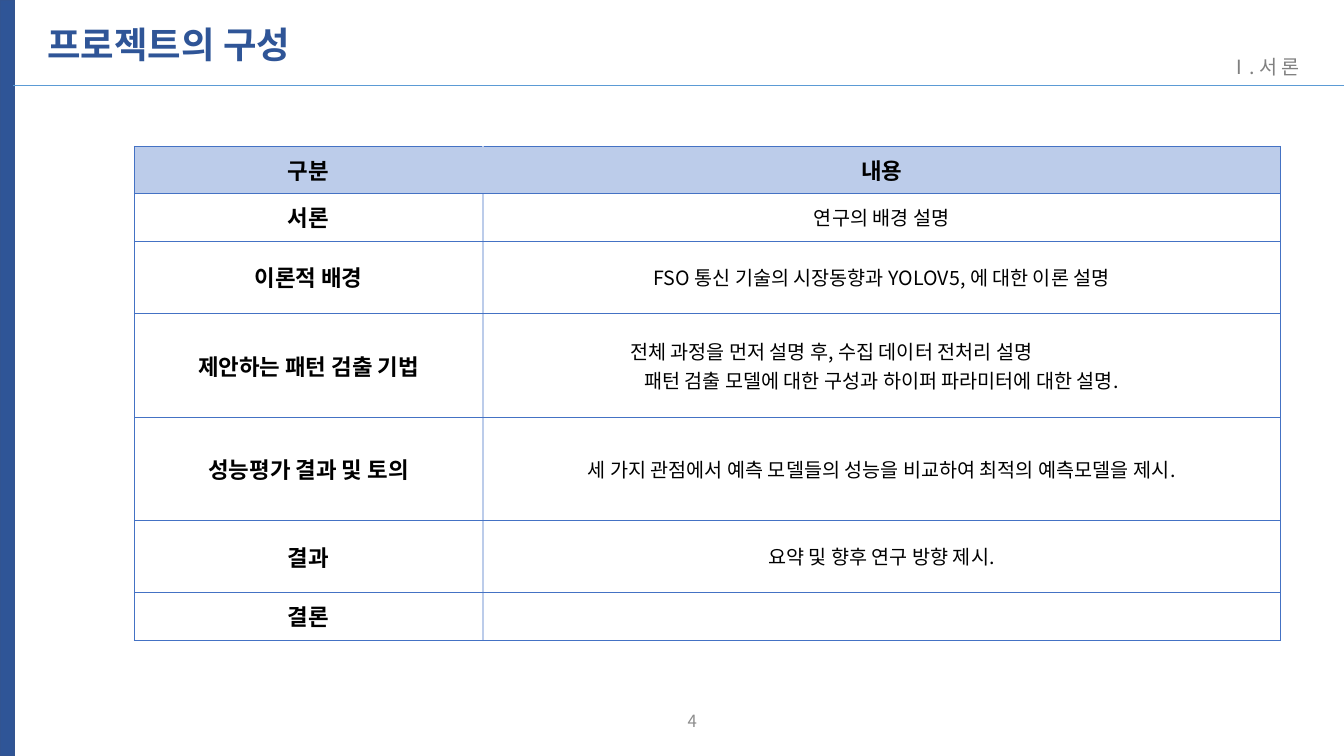
import pptx
import pptx.util
import pptx.dml.color
import pptx.enum.shapes
import pptx.enum.text
import pptx.oxml
import pptx.oxml.ns
from lxml import etree

Inches = pptx.util.Inches
Pt = pptx.util.Pt
RGBColor = pptx.dml.color.RGBColor
ALIGN = pptx.enum.text.PP_ALIGN
MIDDLE = pptx.enum.text.MSO_ANCHOR.MIDDLE
qn = pptx.oxml.ns.qn

FONT = "Noto Sans CJK KR"
NAVY = RGBColor(0x2F, 0x55, 0x97)
NAVY_EDGE = RGBColor(0x32, 0x54, 0x91)
SKY = RGBColor(0x5B, 0x9B, 0xD5)
GRAY = RGBColor(0x80, 0x80, 0x80)
NUMBER_GRAY = RGBColor(0x8C, 0x8C, 0x8C)
BLACK = RGBColor(0, 0, 0)
HEADER_FILL = RGBColor(0xBC, 0xCC, 0xEA)
GRID_BLUE = RGBColor(0x44, 0x72, 0xC4)


def write(frame, lines, size, bold, color, align):
    frame.word_wrap = True
    frame.vertical_anchor = MIDDLE
    for index, text in enumerate(lines):
        para = frame.add_paragraph() if index else frame.paragraphs[0]
        para.text = text
        para.alignment = align
        font = para.font
        font.size = Pt(size)
        font.bold = bold
        font.color.rgb = color
        font.name = FONT
        latin = para._p.pPr.find(qn("a:defRPr")).find(qn("a:latin"))
        latin.addnext(etree.Element(qn("a:ea"), typeface=FONT))


def set_border(cell, position, side, color, width):
    line = etree.Element(qn(f"a:{side}"), w=str(Pt(width)))
    fill = etree.SubElement(line, qn("a:solidFill"))
    etree.SubElement(fill, qn("a:srgbClr"), val=str(color))
    cell._tc.get_or_add_tcPr().insert(position, line)


deck = pptx.Presentation()
deck.slide_width = Inches(13.33)
deck.slide_height = Inches(7.5)
page = deck.slides.add_slide(deck.slide_layouts[5])

side_bar = page.shapes.add_shape(
    pptx.enum.shapes.MSO_SHAPE.RECTANGLE, 0, 0, Inches(0.14), Inches(7.5))
side_bar.shadow.inherit = False
side_bar.fill.solid()
side_bar.fill.fore_color.rgb = NAVY
side_bar.line.color.rgb = NAVY_EDGE
side_bar.line.width = Pt(1)

title_rule = page.shapes.add_connector(
    pptx.enum.shapes.MSO_CONNECTOR.STRAIGHT,
    Inches(0.13), Inches(0.85), Inches(13.33), Inches(0.85))
title_rule.line.color.rgb = SKY
title_rule.line.width = Pt(0.5)
etree.SubElement(title_rule._element.spPr, qn("a:effectLst"))

title = page.shapes.title
title.left, title.top = Inches(0.37), Inches(0.09)
title.width, title.height = Inches(5.63), Inches(0.75)
write(title.text_frame, ["프로젝트의 구성"], 26, True, NAVY, ALIGN.LEFT)
title.text_frame.paragraphs[0].line_spacing = 0.9

chapter = page.shapes.add_textbox(
    Inches(12.1), Inches(0.52), Inches(1.08), Inches(0.32))
write(chapter.text_frame, ["Ⅰ. 서 론"], 14, False, GRAY, ALIGN.LEFT)
chapter.text_frame.paragraphs[0].line_spacing = 0.9

page_number = page.shapes.add_textbox(
    Inches(4.01), Inches(6.95), Inches(3), Inches(0.4))
write(page_number.text_frame, ["4"], 12, False, NUMBER_GRAY, ALIGN.RIGHT)

rows = [
    (0.47, "구분", ["내용"]),
    (0.47, "서론", ["연구의 배경 설명"]),
    (0.72, "이론적 배경", ["FSO 통신 기술의 시장동향과 YOLOV5, 에 대한 이론 설명"]),
    (1.03, "제안하는 패턴 검출 기법",
     ["전체 과정을 먼저 설명 후, 수집 데이터 전처리 설명",
      "패턴 검출 모델에 대한 구성과 하이퍼 파라미터에 대한 설명."]),
    (1.02, "성능평가 결과 및 토의",
     ["세 가지 관점에서 예측 모델들의 성능을 비교하여 최적의 예측모델을 제시."]),
    (0.72, "결과", ["요약 및 향후 연구 방향 제시."]),
    (0.47, "결론", [""]),
]
table = page.shapes.add_table(
    len(rows), 2, Inches(1.33), Inches(1.45), Inches(11.37), Inches(4.9)).table
table.first_row = False
table.horz_banding = False
table.columns[0].width = Inches(3.46)
table.columns[1].width = Inches(7.91)

outer = (GRID_BLUE, 0.5)
divider = (HEADER_FILL, 1)
for row_index, (height, part, contents) in enumerate(rows):
    table.rows[row_index].height = Inches(height)
    is_header = row_index == 0
    for column_index, lines in enumerate([[part], contents]):
        cell = table.cell(row_index, column_index)
        is_heading = is_header or column_index == 0
        size = 16 if is_heading else 14
        write(cell.text_frame, lines, size, is_heading, BLACK, ALIGN.CENTER)
        cell.vertical_anchor = MIDDLE
        if is_header:
            cell.fill.solid()
            cell.fill.fore_color.rgb = HEADER_FILL
        else:
            cell.fill.background()
        left, right = (outer, divider) if column_index == 0 else (divider, outer)
        borders = [("lnL", left), ("lnR", right), ("lnT", outer), ("lnB", outer)]
        for position, (side, style) in enumerate(borders):
            set_border(cell, position, side, *style)

method_cell = table.cell(3, 1)
method_cell.margin_right = Inches(1.1)
method_detail = method_cell.text_frame.paragraphs[1]._p.get_or_add_pPr()
method_detail.set("marL", str(Inches(1)))
method_detail.set("indent", "0")

deck.save("out.pptx")
